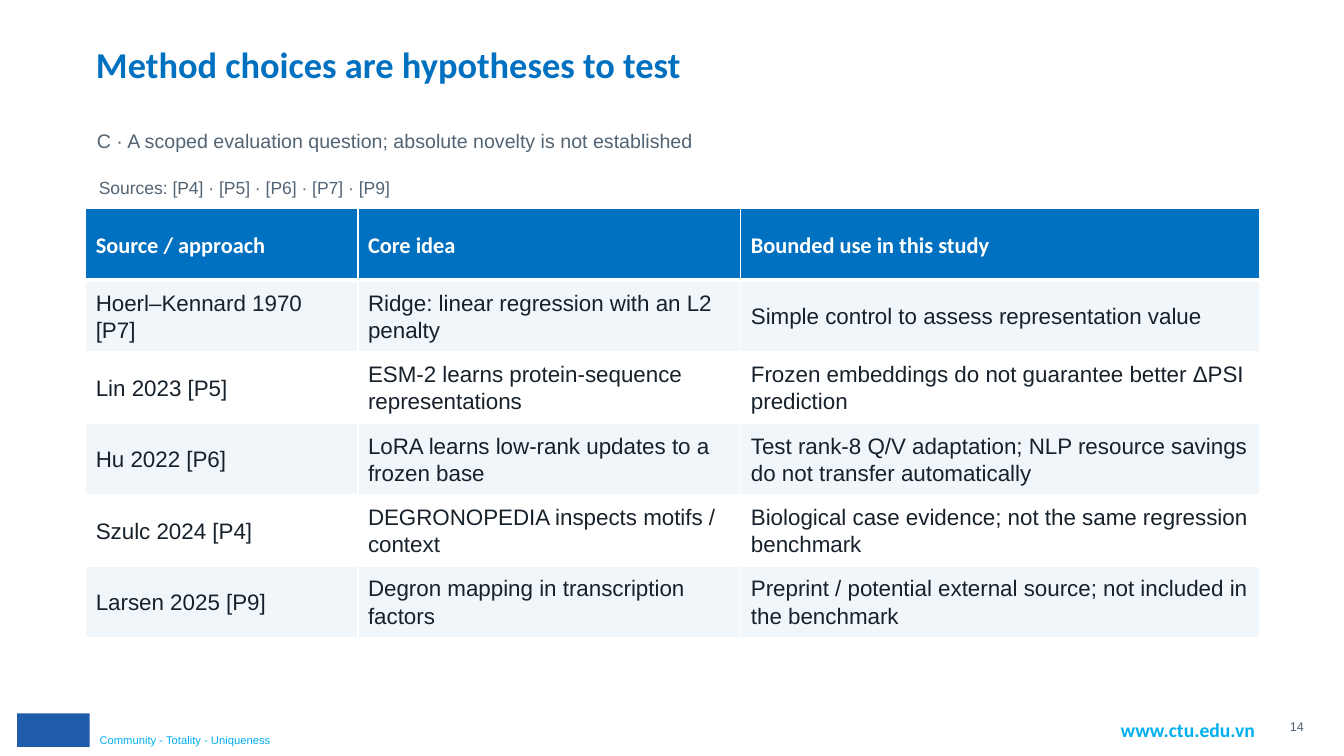
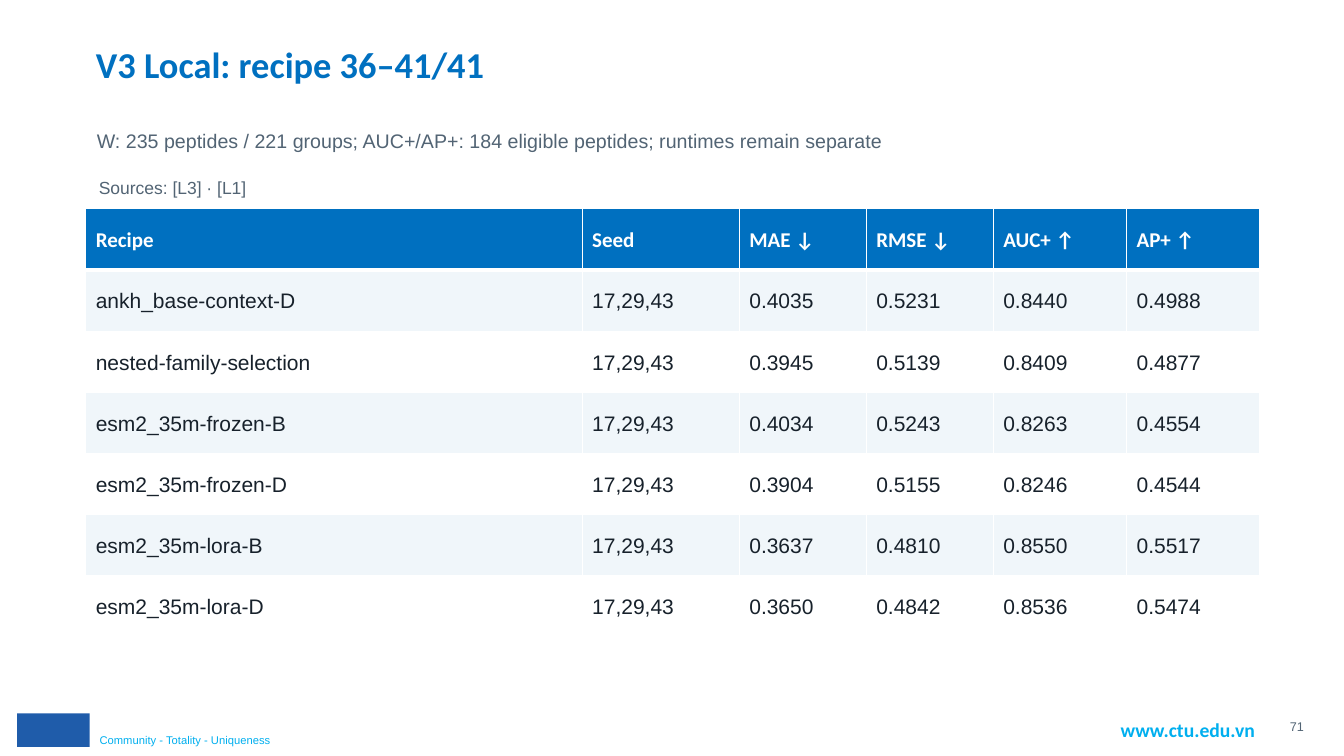
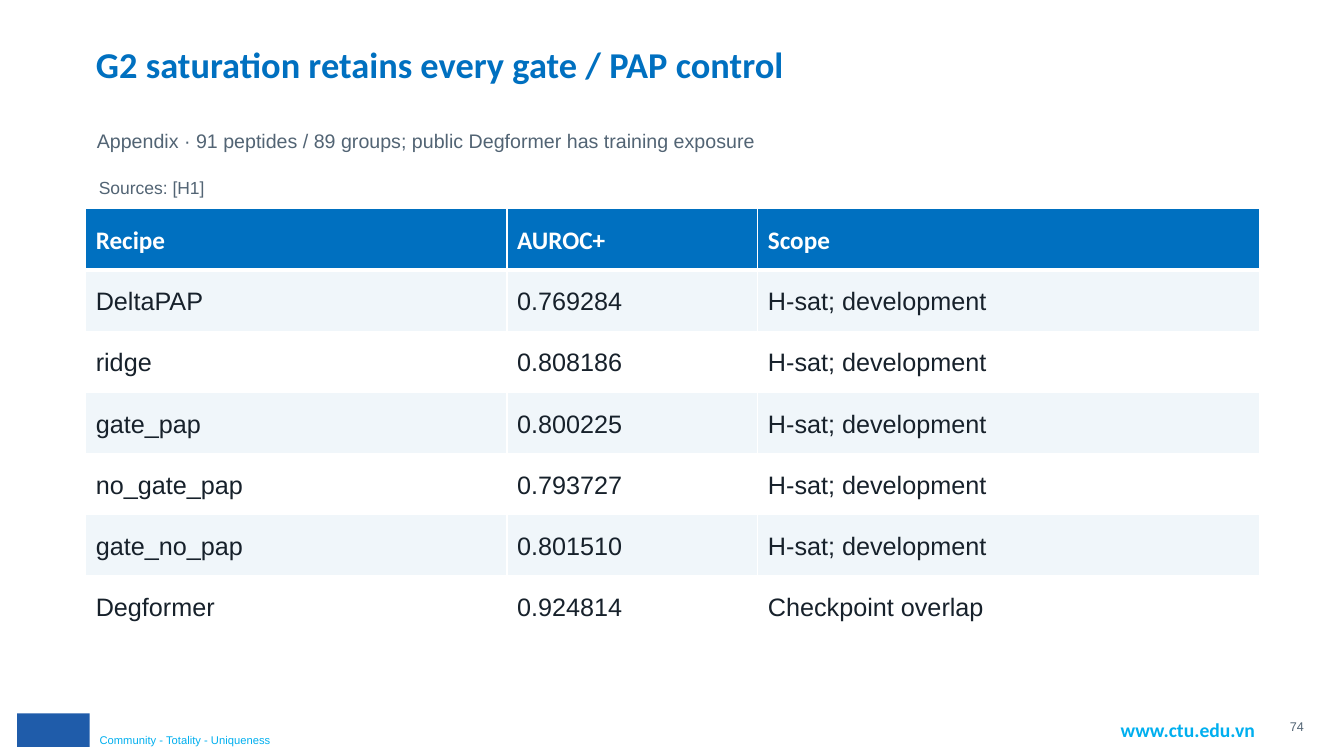
from dataclasses import dataclass

import pptx
import pptx.dml.color
import pptx.enum.shapes
import pptx.enum.text
import pptx.oxml
import pptx.oxml.ns
import pptx.util

Cm = pptx.util.Cm
Pt = pptx.util.Pt
Align = pptx.enum.text.PP_ALIGN
Anchor = pptx.enum.text.MSO_ANCHOR

# Shared colours and fonts
BLUE = "0070C0"
CYAN = "00AFEF"
NAVY = "1F5CAA"
GREY = "526474"
INK = "17212B"
PALE = "F0F6FA"
WHITE = "FFFFFF"
HEADING_FONT = "Calibri"
BODY_FONT = "Arial"

# Table frame, in cm
TABLE_LEFT, TABLE_TOP, TABLE_WIDTH, TABLE_HEIGHT = 2.16, 5.26, 29.59, 10.8


@dataclass(frozen=True)
class TextStyle:
    size: float
    font: str
    colour: str
    bold: bool = False
    line_spacing: float | None = None
    space_after: float = 0
    alignment: Align = Align.LEFT


@dataclass(frozen=True)
class Label:
    left: float
    top: float
    width: float
    height: float
    style: TextStyle
    text: str
    inset: tuple[float, float] = (0.03, 0.03)
    wrap: bool = True


@dataclass(frozen=True)
class Block:
    left: float
    top: float
    width: float
    height: float
    fill: str


@dataclass(frozen=True)
class TableSlide:
    number: int
    title: str
    subtitle: str
    sources: str
    text_size: float
    column_widths: list[float]
    rows: list[list[str]]


def body_style(size: float, font: str, colour: str, bold: bool = False,
               alignment: Align = Align.LEFT) -> TextStyle:
    return TextStyle(size, font, colour, bold, 1.13, 3, alignment)


# Places filled from each slide's own text
TITLE = (2.39, 0.89, 29.59, 2.08, body_style(26, HEADING_FONT, BLUE, True))
SUBTITLE = (2.41, 3.15, 29.34, 1.22, body_style(14, BODY_FONT, GREY))
SOURCES = (2.46, 4.37, 29.13, 0.69, body_style(12.5, BODY_FONT, GREY))
PAGE_NUMBER = (32.13, 18.03, 0.76, 0.51,
               body_style(9, BODY_FONT, GREY, alignment=Align.RIGHT))

# Footer, the same on every slide
FOOTER_INSET = (0.25, 0.13)
FOOTER_BLOCK = Block(0.43, 17.98, 1.83, 0.84, NAVY)
FOOTER_LABELS = [
    Label(27.99, 17.96, 4.17, 0.86, TextStyle(14, HEADING_FONT, CYAN, True),
          "www.ctu.edu.vn", FOOTER_INSET, wrap=False),
    Label(2.26, 18.34, 5.33, 0.61, TextStyle(8, BODY_FONT, CYAN),
          "Community - Totality - Uniqueness", FOOTER_INSET),
]

# Slide contents
SEEDS = "17,29,43"
DEVELOPMENT = "H-sat; development"
SLIDES = [
    TableSlide(
        14, "Method choices are hypotheses to test",
        "C · A scoped evaluation question; absolute novelty is not established",
        "Sources: [P4] · [P5] · [P6] · [P7] · [P9]",
        16, [6.86, 9.65, 13.08],
        [
            ["Source / approach", "Core idea", "Bounded use in this study"],
            ["Hoerl–Kennard 1970 [P7]", "Ridge: linear regression with an L2 penalty",
             "Simple control to assess representation value"],
            ["Lin 2023 [P5]", "ESM-2 learns protein-sequence representations",
             "Frozen embeddings do not guarantee better ΔPSI prediction"],
            ["Hu 2022 [P6]", "LoRA learns low-rank updates to a frozen base",
             "Test rank-8 Q/V adaptation; NLP resource savings do not transfer automatically"],
            ["Szulc 2024 [P4]", "DEGRONOPEDIA inspects motifs / context",
             "Biological case evidence; not the same regression benchmark"],
            ["Larsen 2025 [P9]", "Degron mapping in transcription factors",
             "Preprint / potential external source; not included in the benchmark"],
        ]),
    TableSlide(
        71, "V3 Local: recipe 36–41/41",
        "W: 235 peptides / 221 groups; AUC+/AP+: 184 eligible peptides; runtimes remain separate",
        "Sources: [L3] · [L1]",
        15, [12.51, 3.96, 3.2, 3.2, 3.36, 3.36],
        [
            ["Recipe", "Seed", "MAE ↓", "RMSE ↓", "AUC+ ↑", "AP+ ↑"],
            ["ankh_base-context-D", SEEDS, "0.4035", "0.5231", "0.8440", "0.4988"],
            ["nested-family-selection", SEEDS, "0.3945", "0.5139", "0.8409", "0.4877"],
            ["esm2_35m-frozen-B", SEEDS, "0.4034", "0.5243", "0.8263", "0.4554"],
            ["esm2_35m-frozen-D", SEEDS, "0.3904", "0.5155", "0.8246", "0.4544"],
            ["esm2_35m-lora-B", SEEDS, "0.3637", "0.4810", "0.8550", "0.5517"],
            ["esm2_35m-lora-D", SEEDS, "0.3650", "0.4842", "0.8536", "0.5474"],
        ]),
    TableSlide(
        74, "G2 saturation retains every gate / PAP control",
        "Appendix · 91 peptides / 89 groups; public Degformer has training exposure",
        "Sources: [H1]",
        18, [10.62, 6.32, 12.65],
        [
            ["Recipe", "AUROC+", "Scope"],
            ["DeltaPAP", "0.769284", DEVELOPMENT],
            ["ridge", "0.808186", DEVELOPMENT],
            ["gate_pap", "0.800225", DEVELOPMENT],
            ["no_gate_pap", "0.793727", DEVELOPMENT],
            ["gate_no_pap", "0.801510", DEVELOPMENT],
            ["Degformer", "0.924814", "Checkpoint overlap"],
        ]),
]


def rgb(colour: str) -> pptx.dml.color.RGBColor:
    return pptx.dml.color.RGBColor.from_string(colour)


def set_fill(target, colour: str) -> None:
    target.fill.solid()
    target.fill.fore_color.rgb = rgb(colour)


def set_attributes(target, values: dict) -> None:
    for name, value in values.items():
        setattr(target, name, value)


def frame_of(item: Label | Block) -> list[pptx.util.Length]:
    return [Cm(value) for value in (item.left, item.top, item.width, item.height)]


def write_text(text_frame, text: str, style: TextStyle) -> None:
    paragraph = text_frame.paragraphs[0]
    set_attributes(paragraph, {
        "alignment": style.alignment,
        "line_spacing": style.line_spacing,
        "space_after": Pt(style.space_after),
    })
    run = paragraph.add_run()
    run.text = text
    set_attributes(run.font, {
        "name": style.font, "size": Pt(style.size), "bold": style.bold})
    run.font.color.rgb = rgb(style.colour)


def add_block(slide, block: Block) -> None:
    shape = slide.shapes.add_shape(
        pptx.enum.shapes.MSO_SHAPE.RECTANGLE, *frame_of(block))
    shape.shadow.inherit = False
    shape.line.fill.background()
    set_fill(shape, block.fill)


def add_label(slide, label: Label) -> None:
    text_frame = slide.shapes.add_textbox(*frame_of(label)).text_frame
    across, down = (Cm(value) for value in label.inset)
    set_attributes(text_frame, {
        "word_wrap": label.wrap, "vertical_anchor": Anchor.TOP,
        "margin_left": across, "margin_right": across,
        "margin_top": down, "margin_bottom": down,
    })
    write_text(text_frame, label.text, label.style)


def set_borders(cell, widths: dict[str, float]) -> None:
    properties = cell._tc.get_or_add_tcPr()
    namespace = pptx.oxml.ns.nsdecls("a")
    for side, width in widths.items():
        properties.append(pptx.oxml.parse_xml(
            f'<a:ln{side} {namespace} w="{Pt(width)}"><a:solidFill>'
            f'<a:srgbClr val="{WHITE}"/></a:solidFill></a:ln{side}>'))


def add_table(slide, content: TableSlide) -> None:
    rows = content.rows
    table = slide.shapes.add_table(
        len(rows), len(rows[0]), Cm(TABLE_LEFT), Cm(TABLE_TOP),
        Cm(TABLE_WIDTH), Cm(TABLE_HEIGHT)).table
    for column, width in zip(table.columns, content.column_widths):
        column.width = Cm(width)

    header_style = TextStyle(content.text_size, HEADING_FONT, WHITE, True, 1.1)
    row_style = TextStyle(content.text_size, BODY_FONT, INK, False, 1.1)
    for row_index, row in enumerate(rows):
        is_header = row_index == 0
        fill = BLUE if is_header else PALE if row_index % 2 else WHITE
        # A thicker rule separates the header from the first row
        borders = {"L": 1, "R": 1, "T": 3 if row_index == 1 else 1,
                   "B": 3 if is_header else 1}
        for column_index, text in enumerate(row):
            cell = table.cell(row_index, column_index)
            cell.vertical_anchor = Anchor.MIDDLE
            set_borders(cell, borders)
            set_fill(cell, fill)
            write_text(cell.text_frame, text, header_style if is_header else row_style)


def add_table_slide(presentation, content: TableSlide) -> None:
    slide = presentation.slides.add_slide(presentation.slide_layouts[6])
    set_fill(slide.background, WHITE)
    add_block(slide, FOOTER_BLOCK)
    for label in FOOTER_LABELS:
        add_label(slide, label)
    for place, text in ((TITLE, content.title), (SUBTITLE, content.subtitle),
                        (PAGE_NUMBER, str(content.number)), (SOURCES, content.sources)):
        add_label(slide, Label(*place, text))
    add_table(slide, content)


def main() -> None:
    presentation = pptx.Presentation()
    presentation.slide_width = Cm(33.87)
    presentation.slide_height = Cm(19.05)
    for content in SLIDES:
        add_table_slide(presentation, content)
    presentation.save("out.pptx")


if __name__ == "__main__":
    main()
